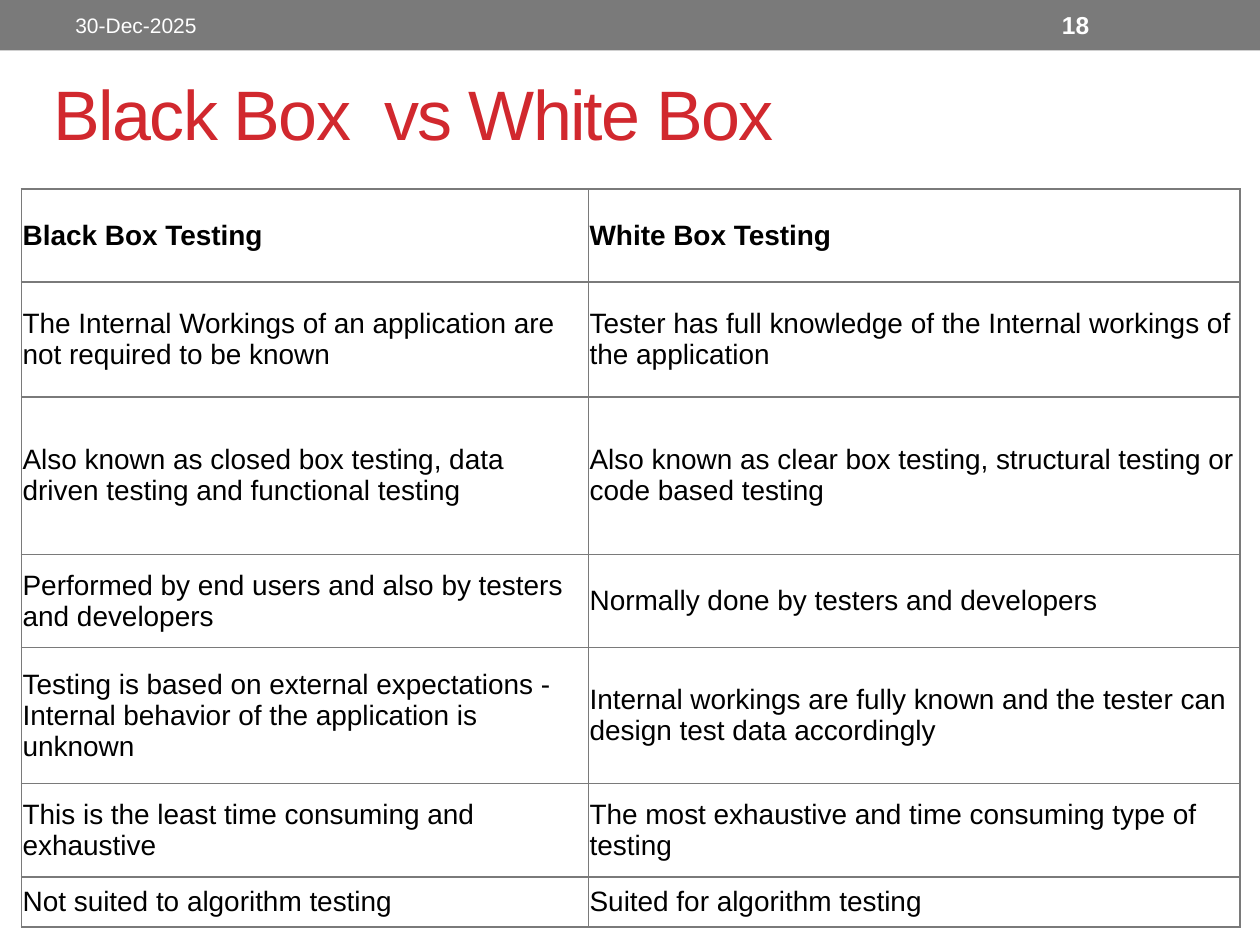
from dataclasses import dataclass

from lxml.etree import SubElement
from pptx import Presentation
from pptx.dml.color import RGBColor
from pptx.enum.shapes import MSO_SHAPE
from pptx.enum.text import MSO_ANCHOR
from pptx.oxml.ns import qn
from pptx.slide import Slide
from pptx.table import _Cell
from pptx.util import Inches, Pt


@dataclass(frozen=True)
class Theme:
    font: str = "Arial"
    gray: str = "7A7A7A"
    red: str = "D1282E"
    black: str = "000000"
    white: str = "FFFFFF"
    title_size: int = 40
    table_size: int = 16
    number_size: int = 14
    date_size: int = 12
    border_width: int = 1


@dataclass(frozen=True)
class Label:
    text: str
    left: float
    top: float
    width: float
    height: float
    size: int
    color: str
    bold: bool = False
    spacing: int = 0  # hundredths of a point


@dataclass(frozen=True)
class Comparison:
    black_box: str
    white_box: str
    height: float


THEME = Theme()

LABELS = [
    Label("Black Box  vs White Box", 0.33, 0.42, 9.25, 0.95,
          THEME.title_size, THEME.red, spacing=-100),
    Label("30-Dec-2025", 0.5, 0.02, 3.17, 0.36, THEME.date_size, THEME.white),
    Label("18", 8.33, 0.02, 1.17, 0.36, THEME.number_size, THEME.white, bold=True),
]

COLUMN_WIDTHS = (4.5, 5.17)
COMPARISONS = [
    Comparison("Black Box Testing", "White Box Testing", 0.74),
    Comparison("The Internal Workings of an application are not required to be known",
               "Tester has full knowledge of the Internal workings of the application", 0.91),
    Comparison("Also known as closed box testing, data driven testing and functional testing",
               "Also known as clear box testing, structural testing or code based testing", 1.25),
    Comparison("Performed by end users and also by testers and developers",
               "Normally done by testers and developers", 0.74),
    Comparison("Testing is based on external expectations - "
               "Internal behavior of the application is unknown",
               "Internal workings are fully known and the tester can "
               "design test data accordingly", 1.08),
    Comparison("This is the least time consuming and exhaustive",
               "The most exhaustive and time consuming type of testing", 0.74),
    Comparison("Not suited to algorithm testing", "Suited for algorithm testing", 0.4),
]


def format_text(text_frame, size: int, color: str, bold: bool, spacing: int = 0) -> None:
    for paragraph in text_frame.paragraphs:
        for run in paragraph.runs:
            run.font.name = THEME.font
            run.font.size = Pt(size)
            run.font.bold = bold
            run.font.color.rgb = RGBColor.from_string(color)
            if spacing:
                run.font._element.set("spc", str(spacing))


def add_header_band(slide: Slide) -> None:
    band = slide.shapes.add_shape(MSO_SHAPE.RECTANGLE, 0, 0, Inches(10), Inches(0.4))
    band.shadow.inherit = False
    band.fill.solid()
    band.fill.fore_color.rgb = RGBColor.from_string(THEME.gray)
    band.line.fill.background()


def add_label(slide: Slide, label: Label) -> None:
    box = slide.shapes.add_textbox(Inches(label.left), Inches(label.top),
                                   Inches(label.width), Inches(label.height))
    frame = box.text_frame
    frame.word_wrap = True
    frame.vertical_anchor = MSO_ANCHOR.MIDDLE
    frame.text = label.text
    format_text(frame, label.size, label.color, label.bold, label.spacing)


def add_borders(cell: _Cell) -> None:
    """Outline all four sides; borders must precede the cell's fill."""
    properties = cell._tc.get_or_add_tcPr()
    for side in ("a:lnL", "a:lnR", "a:lnT", "a:lnB"):
        border = SubElement(properties, qn(side), w=str(Pt(THEME.border_width)))
        fill = SubElement(border, qn("a:solidFill"))
        SubElement(fill, qn("a:srgbClr"), val=THEME.gray)


def fill_cell(cell: _Cell, text: str, bold: bool) -> None:
    cell.margin_left = cell.margin_right = Inches(0.01)
    cell.margin_top = cell.margin_bottom = 0
    cell.vertical_anchor = MSO_ANCHOR.MIDDLE
    add_borders(cell)
    cell.fill.background()
    cell.text_frame.text = text
    format_text(cell.text_frame, THEME.table_size, THEME.black, bold)


def add_comparison_table(slide: Slide) -> None:
    height = sum(comparison.height for comparison in COMPARISONS)
    table = slide.shapes.add_table(
        len(COMPARISONS), len(COLUMN_WIDTHS), Inches(0.17), Inches(1.5),
        Inches(sum(COLUMN_WIDTHS)), Inches(height)).table
    table.horz_banding = False
    table.first_row = False
    for column, width in zip(table.columns, COLUMN_WIDTHS):
        column.width = Inches(width)
    for index, (row, comparison) in enumerate(zip(table.rows, COMPARISONS)):
        row.height = Inches(comparison.height)
        for cell, text in zip(row.cells, (comparison.black_box, comparison.white_box)):
            fill_cell(cell, text, bold=index == 0)


def main() -> None:
    presentation = Presentation()
    presentation.slide_width = Inches(10)
    presentation.slide_height = Inches(7.5)
    slide = presentation.slides.add_slide(presentation.slide_layouts[6])
    add_header_band(slide)
    add_comparison_table(slide)
    for label in LABELS:
        add_label(slide, label)
    presentation.save("out.pptx")


if __name__ == "__main__":
    main()
